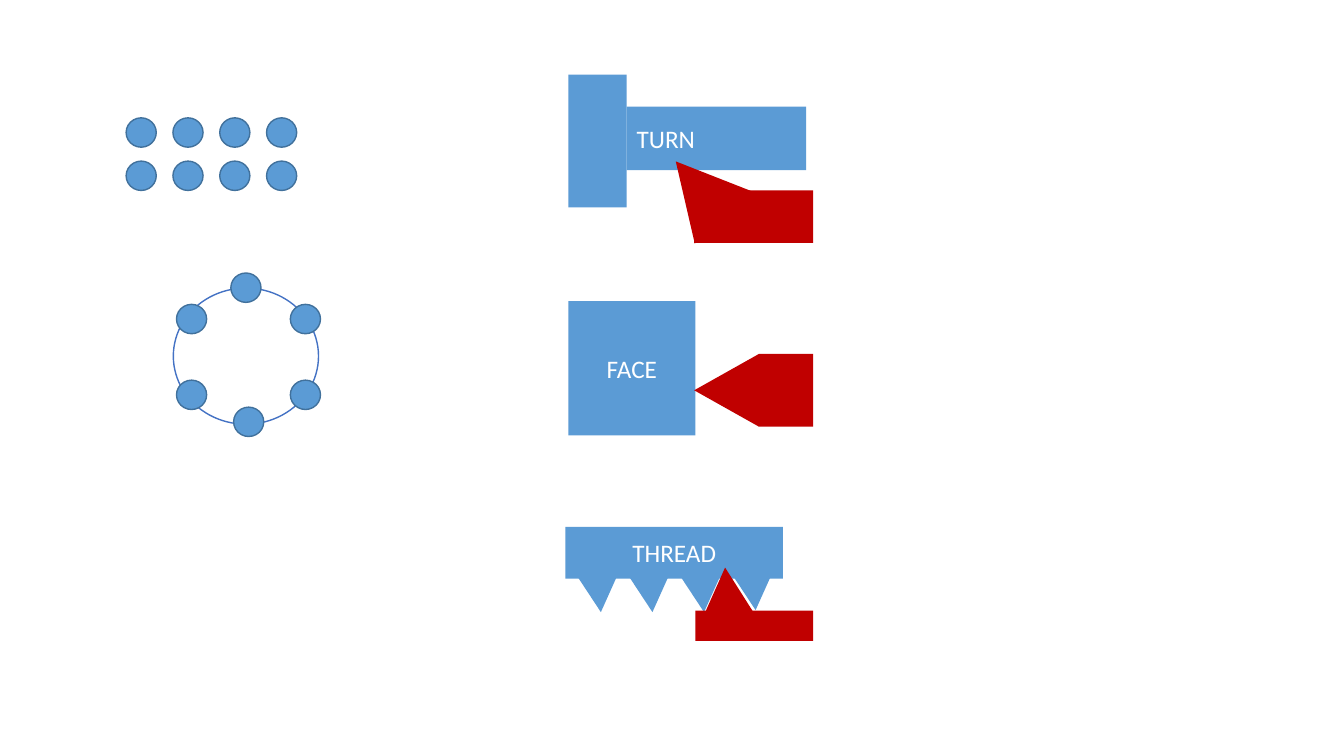
from pptx import Presentation
from pptx.dml.color import RGBColor
from pptx.enum.shapes import MSO_SHAPE
from pptx.enum.text import MSO_ANCHOR, PP_ALIGN
from pptx.util import Cm, Pt

ELLIPSE = MSO_SHAPE.OVAL
RECTANGLE = MSO_SHAPE.RECTANGLE
TRIANGLE = MSO_SHAPE.ISOSCELES_TRIANGLE
LEFT, CENTER = PP_ALIGN.LEFT, PP_ALIGN.CENTER
MIDDLE = MSO_ANCHOR.MIDDLE

WHITE = RGBColor(0xFF, 0xFF, 0xFF)
BLUE = RGBColor(0x5B, 0x9B, 0xD5)
DARK_BLUE = RGBColor(0x41, 0x71, 0x9C)
RING_BLUE = RGBColor(0x44, 0x72, 0xC4)
RED = RGBColor(0xC0, 0x00, 0x00)

LABEL_FORMAT = {"name": "Calibri", "size": Pt(18)}

DOT_SIZE = (0.76, 0.74)
GRID_LEFT, GRID_TOP = 3.18, 2.97
GRID_STEP_X, GRID_STEP_Y = 1.18, 1.09
RING_DOTS = [(5.82, 6.88), (7.32, 7.67), (7.32, 9.58),
             (5.89, 10.26), (4.45, 7.67), (4.45, 9.58)]

TOOTH_LEFT, TOOTH_STEP = 14.58, 1.3
TOOTH_TOPS = [14.12, 14.12, 14.12, 14.07]
TOOTH_ANGLE = 56.6

TOOL_TIPS = {
    "turn": ((16.66, 3.84, 1.98, 1.88), 319.2),
    "face": ((17.4, 9.02, 1.83, 1.63), 270),
    "thread": ((17.58, 14.3, 1.5, 1.4), 355.8),
}
TOOL_SHANKS = [(17.53, 15.39, 2.97, 0.76),
               (19.13, 8.92, 1.37, 1.83),
               (17.5, 4.8, 3, 1.32)]


def add_figure(page, kind, frame, fill, line=None, angle=0):
    """Add a preset shape; frame is left, top, width, height in centimetres."""
    figure = page.shapes.add_shape(kind, *(Cm(length) for length in frame))
    figure.shadow.inherit = False
    figure.rotation = angle
    figure.fill.solid()
    figure.fill.fore_color.rgb = fill
    if line is None:
        figure.line.fill.background()
    else:
        figure.line.color.rgb = line
        figure.line.width = Pt(1)
    return figure


def add_dot(page, left, top):
    add_figure(page, ELLIPSE, (left, top, *DOT_SIZE), BLUE, DARK_BLUE)


def add_workpiece(page, frame, label, alignment=CENTER):
    box = add_figure(page, RECTANGLE, frame, BLUE)
    box.text_frame.word_wrap = True
    box.text_frame.vertical_anchor = MIDDLE
    para = box.text_frame.paragraphs[0]
    para.alignment = alignment
    span = para.add_run()
    span.text = label
    for name, value in LABEL_FORMAT.items():
        setattr(span.font, name, value)
    span.font.color.rgb = WHITE


def add_tool_tip(page, operation):
    frame, angle = TOOL_TIPS[operation]
    add_figure(page, TRIANGLE, frame, RED, angle=angle)


def add_dot_patterns(page):
    add_figure(page, ELLIPSE, (4.37, 7.26, 3.66, 3.43), WHITE, RING_BLUE)
    for row in range(2):
        for column in range(4):
            add_dot(page, GRID_LEFT + column * GRID_STEP_X,
                    GRID_TOP + row * GRID_STEP_Y)
    for left, top in RING_DOTS:
        add_dot(page, left, top)


def add_operations(page):
    add_figure(page, RECTANGLE, (14.33, 1.88, 1.47, 3.35), BLUE)
    add_workpiece(page, (15.8, 2.69, 4.52, 1.6), "TURN", LEFT)
    add_tool_tip(page, "turn")
    add_workpiece(page, (14.33, 7.59, 3.2, 3.38), "FACE")
    add_tool_tip(page, "face")
    add_workpiece(page, (14.25, 13.28, 5.49, 1.3), "THREAD")
    for index, top in enumerate(TOOTH_TOPS):
        frame = (TOOTH_LEFT + index * TOOTH_STEP, top, 1.27, 1)
        add_figure(page, TRIANGLE, frame, BLUE, angle=TOOTH_ANGLE)
    add_tool_tip(page, "thread")
    for frame in TOOL_SHANKS:
        add_figure(page, RECTANGLE, frame, RED)


def main():
    deck = Presentation()
    deck.slide_width, deck.slide_height = Cm(33.88), Cm(19.05)
    page = deck.slides.add_slide(deck.slide_layouts[6])
    add_dot_patterns(page)
    add_operations(page)
    deck.save("out.pptx")


if __name__ == "__main__":
    main()
